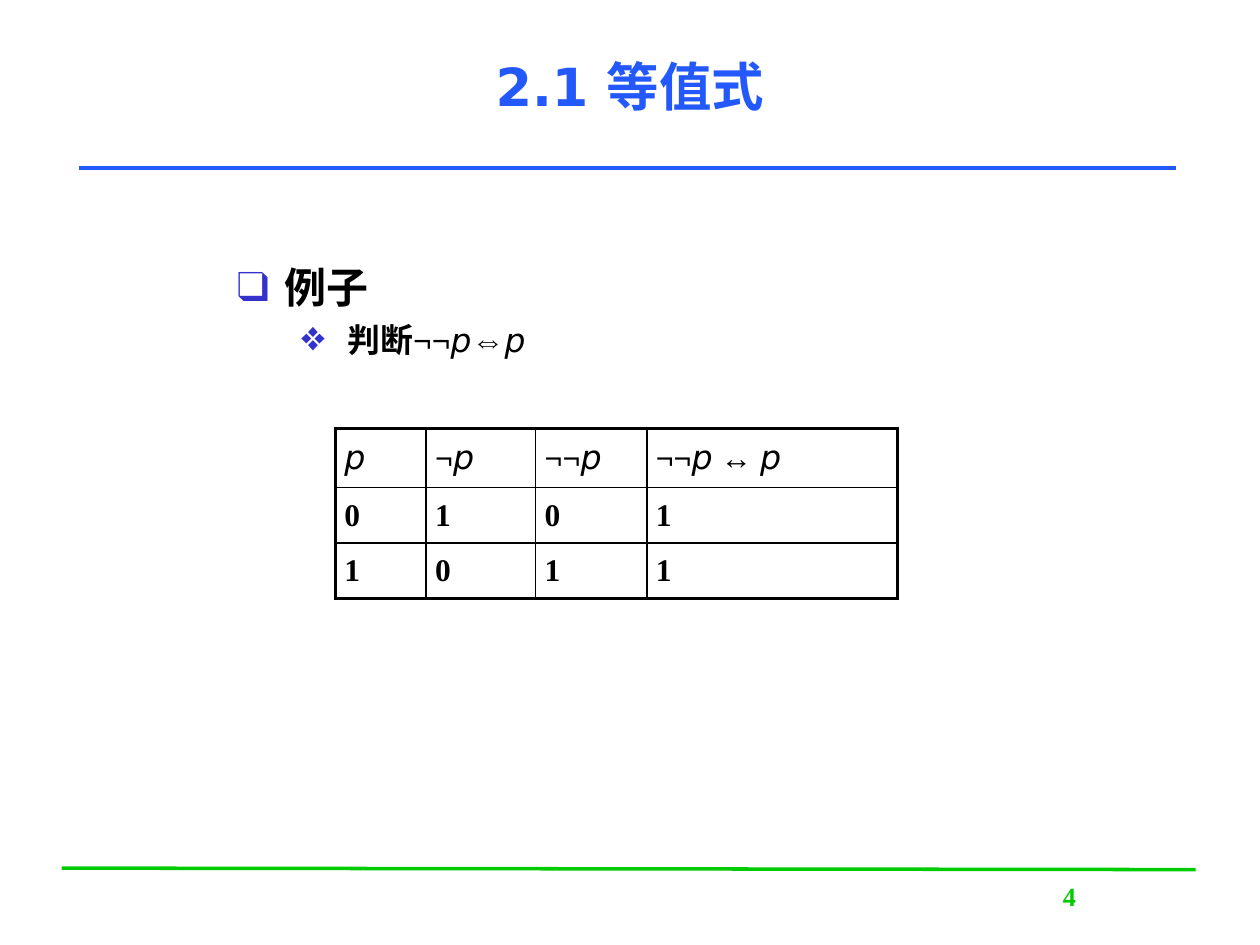
from lxml.etree import SubElement
from pptx import Presentation
from pptx.dml.color import RGBColor
from pptx.enum.text import MSO_ANCHOR, PP_ALIGN
from pptx.oxml.ns import qn
from pptx.util import Cm, Pt

BLUE = RGBColor(0x23, 0x59, 0xFB)
GREEN = RGBColor(0x00, 0xCB, 0x00)
BULLET = RGBColor(0x33, 0x33, 0xCC)
BLACK = RGBColor(0x00, 0x00, 0x00)
SANS = "DejaVu Sans"
SERIF = "Times New Roman"
THIN, THICK = 1, 2.25


def style_font(font, name, size, color=BLACK, bold=True, italic=False):
    """Set the face, size, colour and weight of a font."""
    font.name, font.size = name, Pt(size)
    font.color.rgb = color
    font.bold, font.italic = bold, italic


def set_insets(frame, side, edge):
    """Set the side and the top and bottom margins of a text frame or cell."""
    frame.margin_left = frame.margin_right = Cm(side)
    frame.margin_top = frame.margin_bottom = Cm(edge)


def add_rule(page, start, end, color):
    """Draw a straight rule between two points given in centimetres."""
    rule = page.shapes.add_connector(1, *map(Cm, (*start, *end)))
    rule.line.color.rgb = color
    rule.line.width = Pt(2)
    SubElement(rule._element.spPr, qn("a:effectLst"))


def add_text_frame(page, left, top, width, height):
    """Add a wrapping text box and return its frame."""
    box = page.shapes.add_textbox(Cm(left), Cm(top), Cm(width), Cm(height))
    frame = box.text_frame
    frame.word_wrap = True
    set_insets(frame, 0.18, 0.1)
    return frame


def add_formula(paragraph, text, symbol_size, letter_size):
    """Write a formula with upright symbols and italic variables."""
    for index, part in enumerate(text.split("p")):
        if index:
            span = paragraph.add_run()
            span.text = "p"
            style_font(span.font, SANS, letter_size, bold=False, italic=True)
        if part:
            span = paragraph.add_run()
            span.text = part
            style_font(span.font, SERIF, symbol_size)


def add_bullet(paragraph, mark, margin, hanging):
    """Give a paragraph a coloured bullet and a hanging indent."""
    properties = paragraph._p.get_or_add_pPr()
    properties.set("marL", str(Cm(margin)))
    properties.set("indent", str(-Cm(hanging)))
    color = SubElement(properties, qn("a:buClr"))
    SubElement(color, qn("a:srgbClr"), val=str(BULLET))
    SubElement(properties, qn("a:buFont"), typeface=SERIF)
    SubElement(properties, qn("a:buChar"), char=mark)


def add_header(page, left, top, width, height):
    """Place the slide title and the rule below it."""
    title = page.shapes.title
    title.left, title.top, title.width, title.height = map(Cm, (left, top, width, height))
    frame = title.text_frame
    frame.text = "2.1 等值式"
    frame.vertical_anchor = MSO_ANCHOR.MIDDLE
    set_insets(frame, 0.25, 0.13)
    paragraph = frame.paragraphs[0]
    paragraph.alignment = PP_ALIGN.CENTER
    style_font(paragraph.font, SANS, 30, BLUE)
    rule_top = top + height + 0.08
    add_rule(page, (left - 0.3, rule_top), (left + width + 0.2, rule_top), BLUE)


def add_example(page, left, top, width, height):
    """Place the bulleted example and its question."""
    frame = add_text_frame(page, left, top, width, height)
    heading = frame.paragraphs[0]
    heading.text = "例子"
    style_font(heading.font, SERIF, 24)
    add_bullet(heading, "❑", 0.95, 0.95)
    question = frame.add_paragraph()
    question.level = 1
    question.space_before = Pt(4)
    add_bullet(question, "❖", 2.22, 0.95)
    add_formula(question, "判断¬¬p⇔p", 18.8, 18.8)


def set_borders(cell, widths):
    """Draw the left, right, top and bottom borders of a cell."""
    properties = cell._tc.get_or_add_tcPr()
    for side, width in zip("LRTB", widths):
        line = SubElement(properties, qn(f"a:ln{side}"), w=str(Pt(width)))
        fill = SubElement(line, qn("a:solidFill"))
        SubElement(fill, qn("a:srgbClr"), val=str(BLACK))


def add_truth_table(page, left, top, column_widths, row_heights):
    """Place the truth table with a thick outer frame."""
    rows = [("p", "¬p", "¬¬p", "¬¬p ↔ p"), "0101", "1011"]
    last_row, last_column = len(rows) - 1, len(column_widths) - 1
    table = page.shapes.add_table(
        len(rows), len(column_widths), Cm(left), Cm(top),
        Cm(sum(column_widths)), Cm(sum(row_heights))).table
    table.first_row = table.horz_banding = False
    for column, width in zip(table.columns, column_widths):
        column.width = Cm(width)
    for row, height in zip(table.rows, row_heights):
        row.height = Cm(height)
    for r, values in enumerate(rows):
        for c, value in enumerate(values):
            cell = table.cell(r, c)
            cell.vertical_anchor = MSO_ANCHOR.MIDDLE
            set_insets(cell, 0.18, 0.1)
            outer = (c == 0, c == last_column, r == 0, r == last_row)
            set_borders(cell, [THICK if edge else THIN for edge in outer])
            cell.fill.background()
            add_formula(cell.text_frame.paragraphs[0], value, 18, 19)


def add_footer(page, left, top, width, height):
    """Place the footer rule and the page number below its right part."""
    add_rule(page, (left, top), (left + width, top + 0.03), GREEN)
    frame = add_text_frame(page, left + 18.32, top + 0.15, 4, height - 0.15)
    paragraph = frame.paragraphs[0]
    paragraph.text = "4"
    paragraph.alignment = PP_ALIGN.CENTER
    style_font(paragraph.font, SERIF, 15, GREEN)


def main():
    """Build the slide and save it."""
    deck = Presentation()
    deck.slide_width, deck.slide_height = Cm(25.4), Cm(19.05)
    page = deck.slides.add_slide(deck.slide_layouts[5])
    add_footer(page, 1.24, 17.5, 22.86, 1.42)
    add_header(page, 1.9, 0.13, 21.6, 3.18)
    add_truth_table(page, 6.76, 8.64, (1.83, 2.21, 2.24, 5.05), (1.19, 1.12, 1.12))
    add_example(page, 4.6, 5.18, 16.2, 10.2)
    deck.save("out.pptx")


if __name__ == "__main__":
    main()
